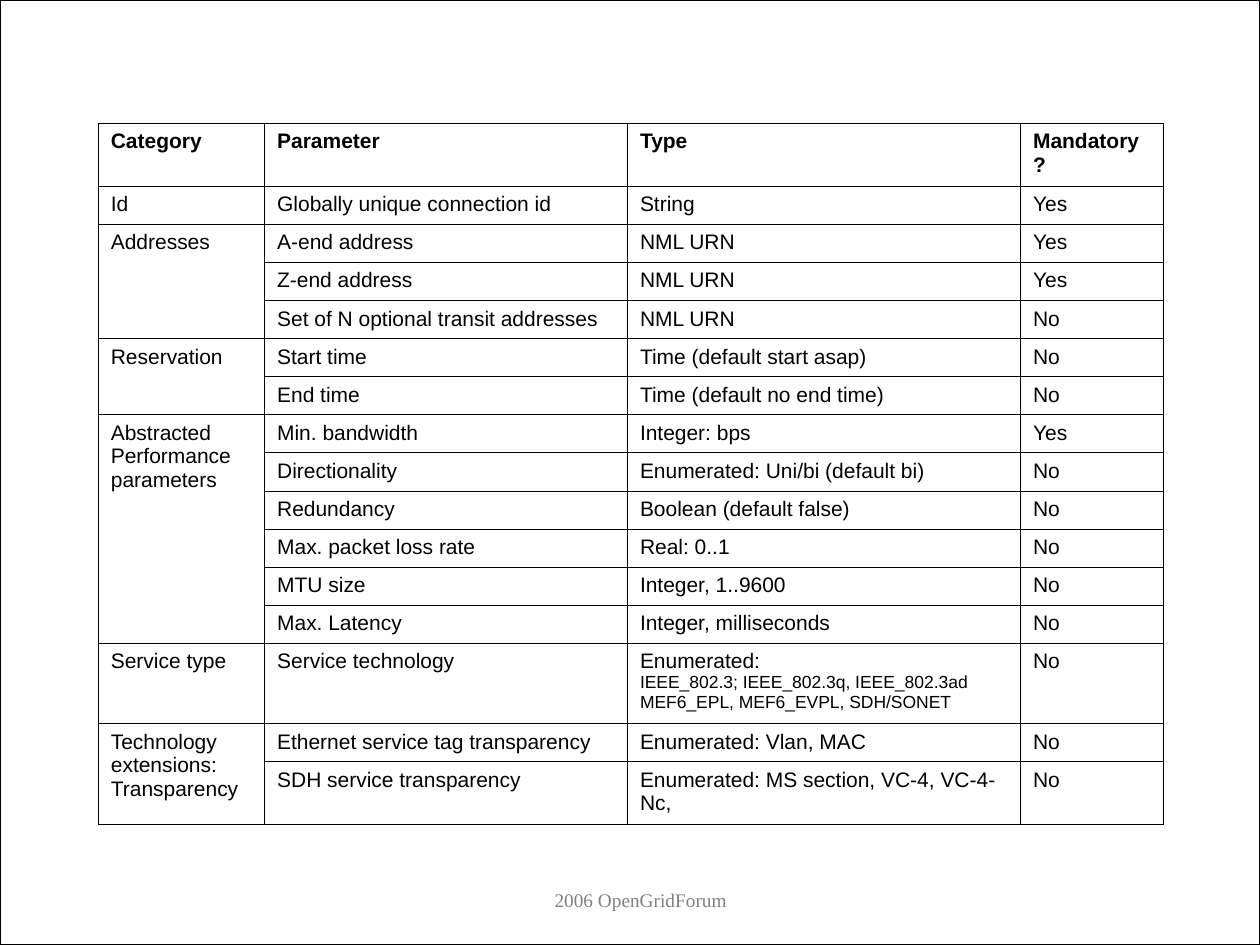
from lxml import etree
from pptx import Presentation
from pptx.dml.color import RGBColor
from pptx.enum.shapes import MSO_SHAPE
from pptx.enum.text import PP_ALIGN
from pptx.oxml.ns import qn
from pptx.util import Inches, Pt

RECT = MSO_SHAPE.RECTANGLE
CENTER = PP_ALIGN.CENTER
BLACK = RGBColor(0, 0, 0)
WHITE = RGBColor(255, 255, 255)
GRAY = RGBColor(128, 128, 128)

WIDE, HIGH = 10, 7.5
COLS = [1.32, 2.88, 3.12, 1.13]
TALL = {0: 0.5, 13: 0.64, 15: 0.5}  # rows with more than one line
SIDES = ("a:lnL", "a:lnR", "a:lnT", "a:lnB")

HEAD = ("Parameter", "Type", "Mandatory?")
GROUPS = [
    ("Category", [HEAD]),
    ("Id", [("Globally unique connection id", "String", "Yes")]),
    ("Addresses", [
        ("A-end address", "NML URN", "Yes"),
        ("Z-end address", "NML URN", "Yes"),
        ("Set of N optional transit addresses", "NML URN", "No")]),
    ("Reservation", [
        ("Start time", "Time (default start asap)", "No"),
        ("End time", "Time (default no end time)", "No")]),
    ("Abstracted Performance parameters", [
        ("Min. bandwidth", "Integer: bps", "Yes"),
        ("Directionality", "Enumerated: Uni/bi (default bi)", "No"),
        ("Redundancy", "Boolean (default false)", "No"),
        ("Max. packet loss rate", "Real: 0..1", "No"),
        ("MTU size", "Integer, 1..9600", "No"),
        ("Max. Latency", "Integer, milliseconds", "No")]),
    ("Service type", [
        ("Service technology",
         "Enumerated:\nIEEE_802.3; IEEE_802.3q, IEEE_802.3ad\n"
         "MEF6_EPL, MEF6_EVPL, SDH/SONET", "No")]),
    ("Technology extensions:\nTransparency", [
        ("Ethernet service tag transparency", "Enumerated: Vlan, MAC", "No"),
        ("SDH service transparency",
         "Enumerated: MS section, VC-4, VC-4-Nc,", "No")]),
]


def style(para, face, size, color, bold=False):
    for run in para.runs:
        font = run.font
        font.name, font.size, font.bold = face, Pt(size), bold
        font.color.rgb = color


def add_edges(cell):
    """Thin black line on each side; lines must come before the fill."""
    props = cell._tc.get_or_add_tcPr()
    for spot, side in enumerate(SIDES):
        line = etree.Element(qn(side), w=str(Pt(0.45)))
        fill = etree.SubElement(line, qn("a:solidFill"))
        etree.SubElement(fill, qn("a:srgbClr"), val=str(BLACK))
        props.insert(spot, line)


def fill_cell(cell, text, bold):
    cell.text_frame.text = text
    for num, para in enumerate(cell.text_frame.paragraphs):
        small = num > 0 and "_" in para.text  # list of standards
        style(para, "Arial", 10 if small else 12, BLACK, bold)


def add_frame(slide, left, top, width, height):
    box = slide.shapes.add_shape(RECT, left, top, width, height)
    box.shadow.inherit = False
    box.fill.solid()
    box.fill.fore_color.rgb = WHITE
    box.line.color.rgb = BLACK
    box.line.width = Pt(0.75)


def add_grid(slide, left, top, width, height):
    count = sum(len(rows) for _, rows in GROUPS)
    table = slide.shapes.add_table(
        count, len(COLS), left, top, width, height).table
    table.first_row = table.horz_banding = False

    # Column and row sizes
    for col, share in zip(table.columns, COLS):
        col.width = int(width * share / sum(COLS))
    tall = Inches(sum(TALL.values()))
    plain = (height - tall) // (count - len(TALL))
    for num, row in enumerate(table.rows):
        row.height = Inches(TALL[num]) if num in TALL else plain

    # Plain look for every cell
    for cell in table.iter_cells():
        cell.fill.solid()
        cell.fill.fore_color.rgb = WHITE
        add_edges(cell)

    # One merged category cell beside the rows of each group
    start = 0
    for name, rows in GROUPS:
        bold = start == 0
        first = table.cell(start, 0)
        if len(rows) > 1:
            first.merge(table.cell(start + len(rows) - 1, 0))
        fill_cell(first, name, bold)
        for num, row in enumerate(rows, start):
            for col, text in enumerate(row, 1):
                fill_cell(table.cell(num, col), text, bold)
        start += len(rows)


def add_footer(slide, left, top, width, height):
    frame = slide.shapes.add_textbox(left, top, width, height).text_frame
    frame.word_wrap = True
    frame.text = "2006 OpenGridForum"
    para = frame.paragraphs[0]
    para.alignment = CENTER
    style(para, "Times New Roman", 11, GRAY)


def main():
    deck = Presentation()
    deck.slide_width, deck.slide_height = Inches(WIDE), Inches(HIGH)
    slide = deck.slides.add_slide(deck.slide_layouts[6])
    add_frame(slide, 0, 0, deck.slide_width, deck.slide_height)
    add_grid(slide, Inches(0.78), Inches(0.98), Inches(sum(COLS)),
             Inches(5.57))
    add_footer(slide, Inches(2.17), Inches(7), Inches(5.83), Inches(0.5))
    deck.save("out.pptx")


if __name__ == "__main__":
    main()
